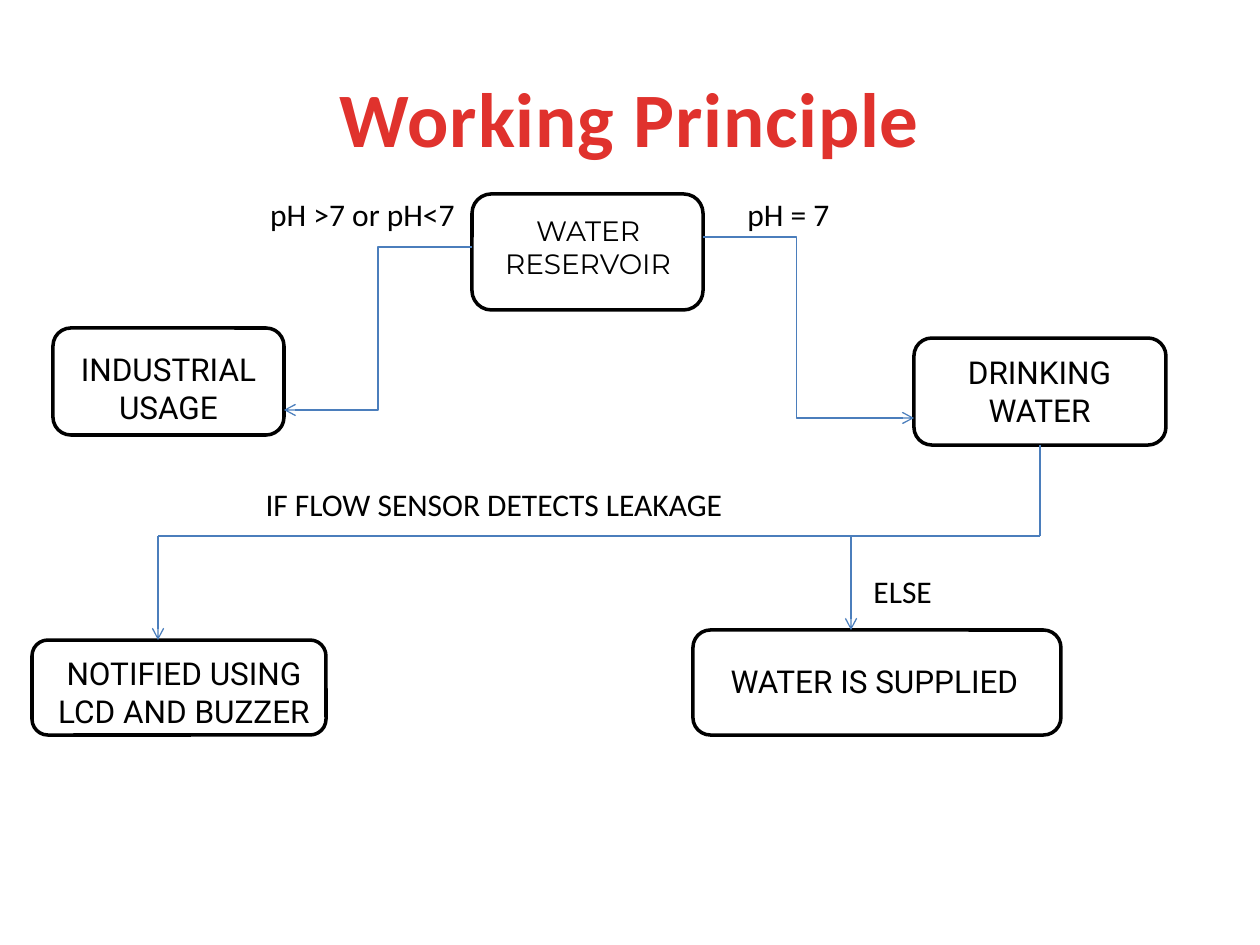
from pptx import Presentation
from pptx.dml.color import RGBColor
from pptx.enum.shapes import MSO_CONNECTOR, MSO_SHAPE
from pptx.enum.text import MSO_ANCHOR, PP_ALIGN
from pptx.oxml.ns import qn
from pptx.util import Emu, Pt
from lxml import etree

ALTERNATE = MSO_SHAPE.FLOWCHART_ALTERNATE_PROCESS
ROUNDED = MSO_SHAPE.ROUNDED_RECTANGLE
STRAIGHT = MSO_CONNECTOR.STRAIGHT
ELBOW = MSO_CONNECTOR.ELBOW
LEFT = PP_ALIGN.LEFT
CENTER = PP_ALIGN.CENTER
MIDDLE = MSO_ANCHOR.MIDDLE
SCALE = 914400 / 126
BLACK, WHITE, RED, BLUE = "000000", "FFFFFF", "E0322D", "4B7EBC"


def px(*lengths):
    return [Emu(round(length * SCALE)) for length in lengths]


def write(frame, text, font="Calibri", size=18, color=BLACK, bold=False, align=CENTER):
    frame.word_wrap = True
    paragraph = frame.paragraphs[0]
    paragraph.alignment = align
    run = paragraph.add_run()
    run.text = text
    run.font.name = font
    run.font.size = Pt(size)
    run.font.bold = bold
    run.font.color.rgb = RGBColor.from_string(color)
    return run


prs = Presentation()
prs.slide_width, prs.slide_height = px(1260, 945)
slide = prs.slides.add_slide(prs.slide_layouts[5])
shapes = slide.shapes

heading = shapes.title
heading.left, heading.top, heading.width, heading.height = px(63, 38, 1134, 158)
heading.text_frame.vertical_anchor = MIDDLE
heading_run = write(heading.text_frame, "Working Principle", size=44, color=RED, bold=True)
heading_run.font._element.set("spc", "50")

steps = [
    ("WATER RESERVOIR", ALTERNATE, (472, 194, 231, 116), (483, 207, 210, 81), "Montserrat", 16),
    ("INDUSTRIAL USAGE", ROUNDED, (53, 328, 231, 107), (58, 344, 221, 89), "Roboto", 18),
    ("DRINKING WATER", ALTERNATE, (914, 338, 252, 107), (924, 347, 231, 89), "Roboto", 18),
    ("NOTIFIED USING LCD AND BUZZER", ALTERNATE, (32, 640, 294, 95), (42, 648, 284, 89), "Roboto", 18),
    ("WATER IS SUPPLIED", ALTERNATE, (693, 630, 368, 105), (688, 656, 373, 50), "Roboto", 18),
]
for step, outline, frame_area, text_area, font, size in steps:
    border = shapes.add_shape(outline, *px(*frame_area))
    border.shadow.inherit = False
    border.fill.solid()
    border.fill.fore_color.rgb = RGBColor.from_string(WHITE)
    border.line.color.rgb = RGBColor.from_string(BLACK)
    border.line.width = Pt(2)
    caption = shapes.add_textbox(*px(*text_area))
    write(caption.text_frame, step, font=font, size=size)

conditions = [
    ("pH >7 or pH<7", (252, 189, 221, 50), CENTER),
    ("pH = 7", (735, 189, 147, 50), LEFT),
    ("IF FLOW SENSOR DETECTS LEAKAGE", (158, 479, 672, 50), CENTER),
    ("ELSE", (861, 566, 105, 50), LEFT),
]
for condition, area, align in conditions:
    caption = shapes.add_textbox(*px(*area))
    write(caption.text_frame, condition, align=align)

flows = [
    (ELBOW, (472, 247, 284, 410), True, 50000),
    (ELBOW, (703, 237, 914, 418), True, 44300),
    (STRAIGHT, (1040, 445, 1040, 536), False, None),
    (STRAIGHT, (1040, 536, 158, 536), False, None),
    (STRAIGHT, (158, 536, 158, 640), True, None),
    (STRAIGHT, (851, 536, 851, 630), True, None),
]
for route, ends, has_arrow, bend in flows:
    flow = shapes.add_connector(route, *px(*ends))
    flow.line.color.rgb = RGBColor.from_string(BLUE)
    flow.line.width = Pt(0.75)
    properties = flow.element.spPr
    if has_arrow:
        etree.SubElement(properties.find(qn("a:ln")), qn("a:tailEnd"), type="arrow")
    if bend:
        adjustments = properties.find(qn("a:prstGeom")).find(qn("a:avLst"))
        etree.SubElement(adjustments, qn("a:gd"), name="adj1", fmla=f"val {bend}")
    etree.SubElement(properties, qn("a:effectLst"))

prs.save("out.pptx")
